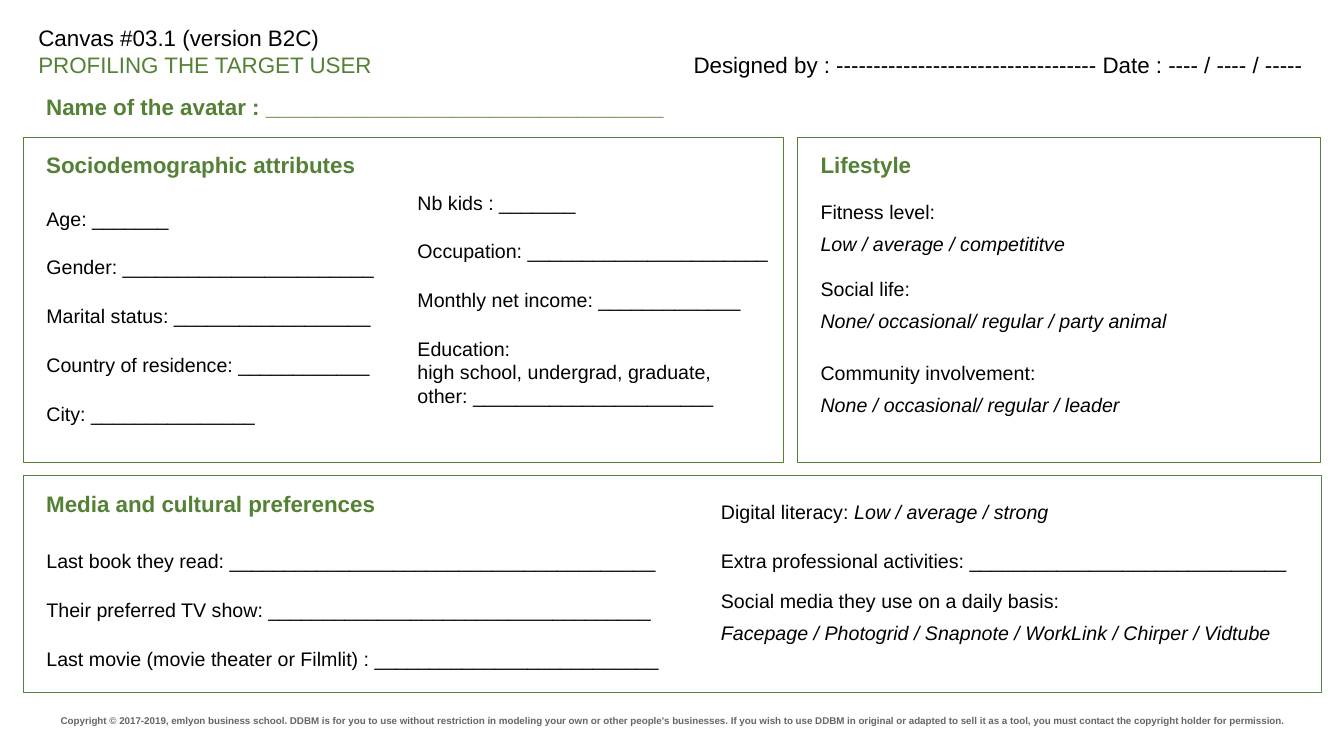
"""Build the target user profiling canvas."""
from dataclasses import dataclass

from lxml import etree
from pptx import Presentation
from pptx import util as u
from pptx.dml.color import RGBColor
from pptx.enum import shapes, text
from pptx.oxml import ns


@dataclass(frozen=True)
class Theme:
    """Colours, font and type sizes of the canvas."""
    font: str = "Arial"
    green: str = "548135"
    black: str = "000000"
    grey: str = "666666"
    heading: int = 16
    body: int = 14
    footer: int = 7
    field_gap: int = 18
    choice_gap: int = 6


THEME = Theme()


@dataclass(frozen=True)
class Box:
    """A rectangle in inches."""
    left: float
    top: float
    width: float
    height: float

    def inside(self, left, top, width, height):
        """Return a box offset from this one's top left corner."""
        return Box(self.left + left, self.top + top, width, height)

    def lengths(self):
        """Return the position and size as lengths."""
        return [u.Inches(value) for value in (self.left, self.top, self.width, self.height)]


def place_text(slide, box, holder=None, margin=0.1, anchor=text.MSO_ANCHOR.TOP):
    """Place a text box or a given placeholder and return its text frame."""
    shape = holder or slide.shapes.add_textbox(*box.lengths())
    shape.left, shape.top, shape.width, shape.height = box.lengths()
    frame = shape.text_frame
    frame.word_wrap = True
    frame.auto_size = text.MSO_AUTO_SIZE.NONE
    frame.vertical_anchor = anchor
    frame.margin_left = frame.margin_right = u.Inches(0.1)
    frame.margin_top = frame.margin_bottom = u.Inches(margin)
    return frame


def write(paragraph, content, size=THEME.body, color=THEME.black, bold=False, italic=False,
          before=0, after=0, spacing=1.0, align=text.PP_ALIGN.LEFT):
    """Add one formatted run of text to a paragraph."""
    properties = paragraph._p.get_or_add_pPr()
    if properties.find(ns.qn("a:buNone")) is None:
        properties.set("marL", "0")
        properties.set("indent", "0")
        etree.SubElement(properties, ns.qn("a:buNone"))
    paragraph.alignment = align
    paragraph.line_spacing = spacing
    paragraph.space_before = u.Pt(before)
    paragraph.space_after = u.Pt(after)
    run = paragraph.add_run()
    run.text = content
    run.font.name = THEME.font
    run.font.size = u.Pt(size)
    run.font.bold = bold
    run.font.italic = italic
    run.font.color.rgb = RGBColor.from_string(color)


def write_fields(frame, fields):
    """Write fields given as text, gap before and italic flag."""
    for index, (content, before, italic) in enumerate(fields):
        paragraph = frame.add_paragraph() if index else frame.paragraphs[0]
        write(paragraph, content, before=before, italic=italic)


def blanks(first, *others):
    """Return evenly spaced upright fields."""
    return [(first, 0, False)] + [(label, THEME.field_gap, False) for label in others]


def add_heading(slide, box, content):
    """Add a bold green heading."""
    frame = place_text(slide, box, margin=0.05)
    write(frame.paragraphs[0], content, size=THEME.heading, color=THEME.green, bold=True)


def add_panel(slide, box, heading):
    """Draw an outlined panel with its heading."""
    panel = slide.shapes.add_shape(shapes.MSO_SHAPE.RECTANGLE, *box.lengths())
    panel.shadow.inherit = False
    panel.fill.background()
    panel.line.color.rgb = RGBColor.from_string(THEME.green)
    panel.line.width = u.Pt(0.75)
    add_heading(slide, box.inside(0.13, 0.09, min(5.93, box.width - 0.2), 0.37), heading)


def add_header(slide, box):
    """Fill the title, the signature line and the avatar name."""
    title = place_text(slide, box.inside(0, 0, 6.39, 0.44), slide.shapes.title).paragraphs[0]
    write(title, "Canvas #03.1 (version B2C)", size=THEME.heading)
    title.add_line_break()
    write(title, "PROFILING THE TARGET USER", size=THEME.heading, color=THEME.green)
    signature = place_text(slide, box.inside(6.5, 0, 6.39, 0.44)).paragraphs[0]
    write(signature, f"Designed by : {'-' * 35} Date : ---- / ---- / -----",
          size=THEME.heading, spacing=2.0, after=6)
    add_heading(slide, box.inside(0.08, 0.73, 7.04, 0.37), "Name of the avatar : " + "_" * 32)


def add_demographics(slide, box, left_holder, right_holder):
    """Build the sociodemographic panel with two lists of blanks."""
    add_panel(slide, box, "Sociodemographic attributes")
    write_fields(place_text(slide, box.inside(0.13, 0.59, 3.55, 2.49), left_holder), blanks(
        "Age: " + "_" * 7,
        "Gender: " + "_" * 23,
        "Marital status: " + "_" * 18,
        "Country of residence: " + "_" * 12,
        "City: " + "_" * 15))
    write_fields(place_text(slide, box.inside(3.81, 0.43, 3.69, 2.38), right_holder), blanks(
        "Nb kids : " + "_" * 7,
        "Occupation: " + "_" * 22,
        "Monthly net income: " + "_" * 13,
        "Education:") + [
        ("high school, undergrad, graduate,", 0, False),
        ("other: " + "_" * 22, 0, False)])


def add_lifestyle(slide, box):
    """Build the lifestyle panel with three questions and their choices."""
    add_panel(slide, box, "Lifestyle")
    questions = [
        (0.52, "Fitness level:", "Low / average / competititve"),
        (1.29, "Social life:", "None/ occasional/ regular / party animal"),
        (2.12, "Community involvement:", "None / occasional/ regular / leader")]
    for top, question, choices in questions:
        frame = place_text(slide, box.inside(0.13, top, 3.69, 0.77))
        write_fields(frame, [(question, 0, False), (choices, THEME.choice_gap, True)])


def add_media(slide, box, left_holder, right_holder):
    """Build the media and cultural preferences panel."""
    add_panel(slide, box, "Media and cultural preferences")
    write_fields(place_text(slide, box.inside(0.13, 0.63, 6.6, 1.47), left_holder), blanks(
        "Last book they read: " + "_" * 39,
        "Their preferred TV show: " + "_" * 35,
        "Last movie (movie theater or Filmlit) : " + "_" * 26))
    frame = place_text(slide, box.inside(6.82, 0.14, 5.99, 1.87), right_holder)
    write_fields(frame, blanks(
        "Digital literacy: ",
        "Extra professional activities: " + "_" * 29) + [
        ("Social media they use on a daily basis:", 12, False),
        ("Facepage / Photogrid / Snapnote / WorkLink / Chirper / Vidtube",
         THEME.choice_gap, True)])
    write(frame.paragraphs[0], "Low / average / strong", italic=True)


def add_footer(slide, box):
    """Add the centred copyright line."""
    frame = place_text(slide, box, margin=0, anchor=text.MSO_ANCHOR.MIDDLE)
    write(frame.paragraphs[0],
          "Copyright © 2017-2019, emlyon business school. DDBM is for you to use without "
          "restriction in modeling your own or other people's businesses. If you wish to use "
          "DDBM in original or adapted to sell it as a tool, you must contact the copyright "
          "holder for permission.",
          size=THEME.footer, color=THEME.grey, bold=True, spacing=1.2,
          align=text.PP_ALIGN.CENTER)


def main():
    """Build and save the canvas."""
    presentation = Presentation()
    presentation.slide_width = u.Inches(13.33)
    presentation.slide_height = u.Inches(7.5)
    comparison = presentation.slide_layouts.get_by_name("Comparison")
    slide = presentation.slides.add_slide(comparison)
    bodies = [slide.placeholders[index] for index in range(1, 5)]
    add_header(slide, Box(0.28, 0.14, 12.89, 1.1))
    add_demographics(slide, Box(0.23, 1.36, 7.54, 3.23), *bodies[:2])
    add_lifestyle(slide, Box(7.91, 1.36, 5.19, 3.23))
    add_media(slide, Box(0.23, 4.72, 12.88, 2.15), *bodies[2:])
    add_footer(slide, Box(0.31, 7.04, 12.72, 0.2))
    presentation.save("out.pptx")


if __name__ == "__main__":
    main()
